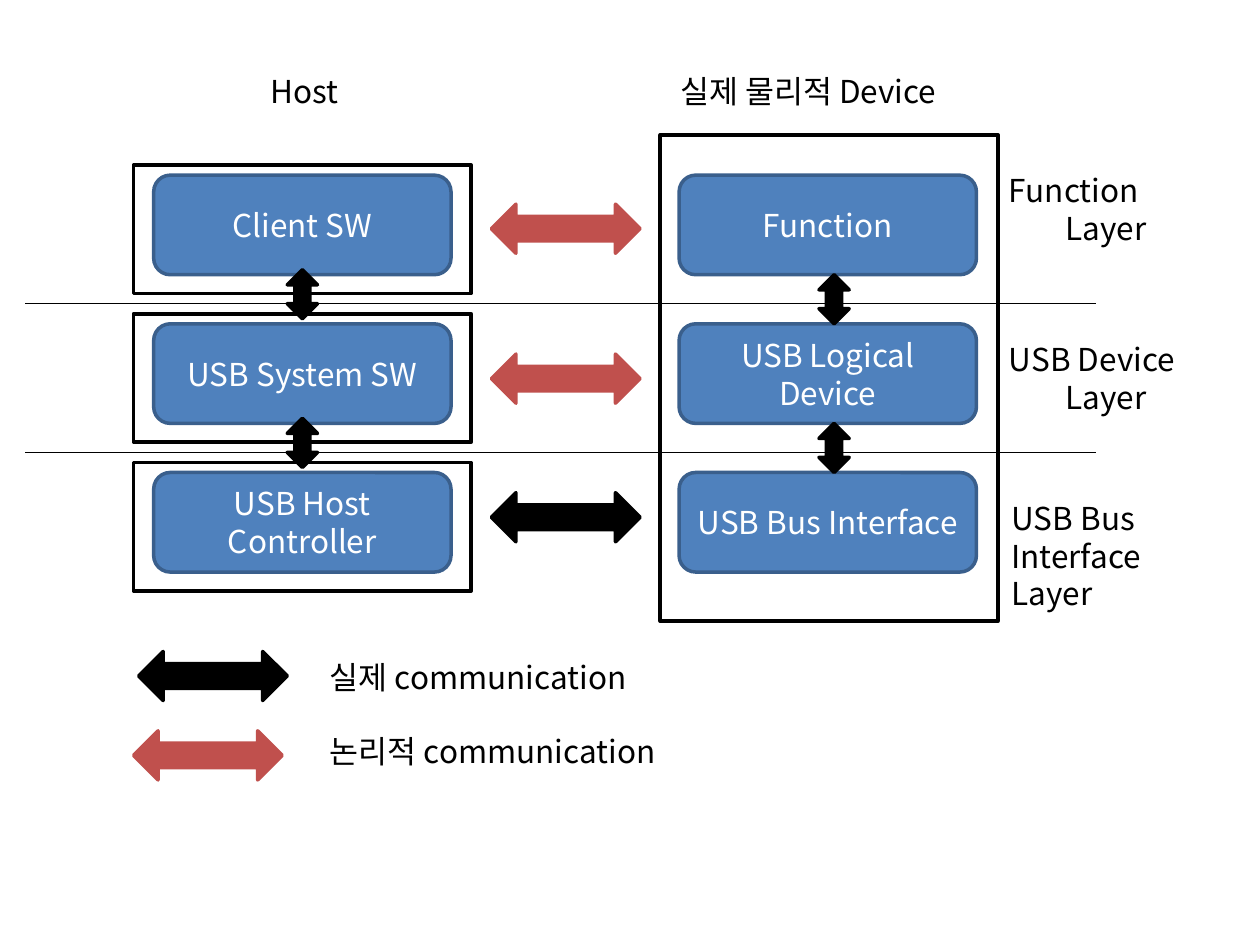
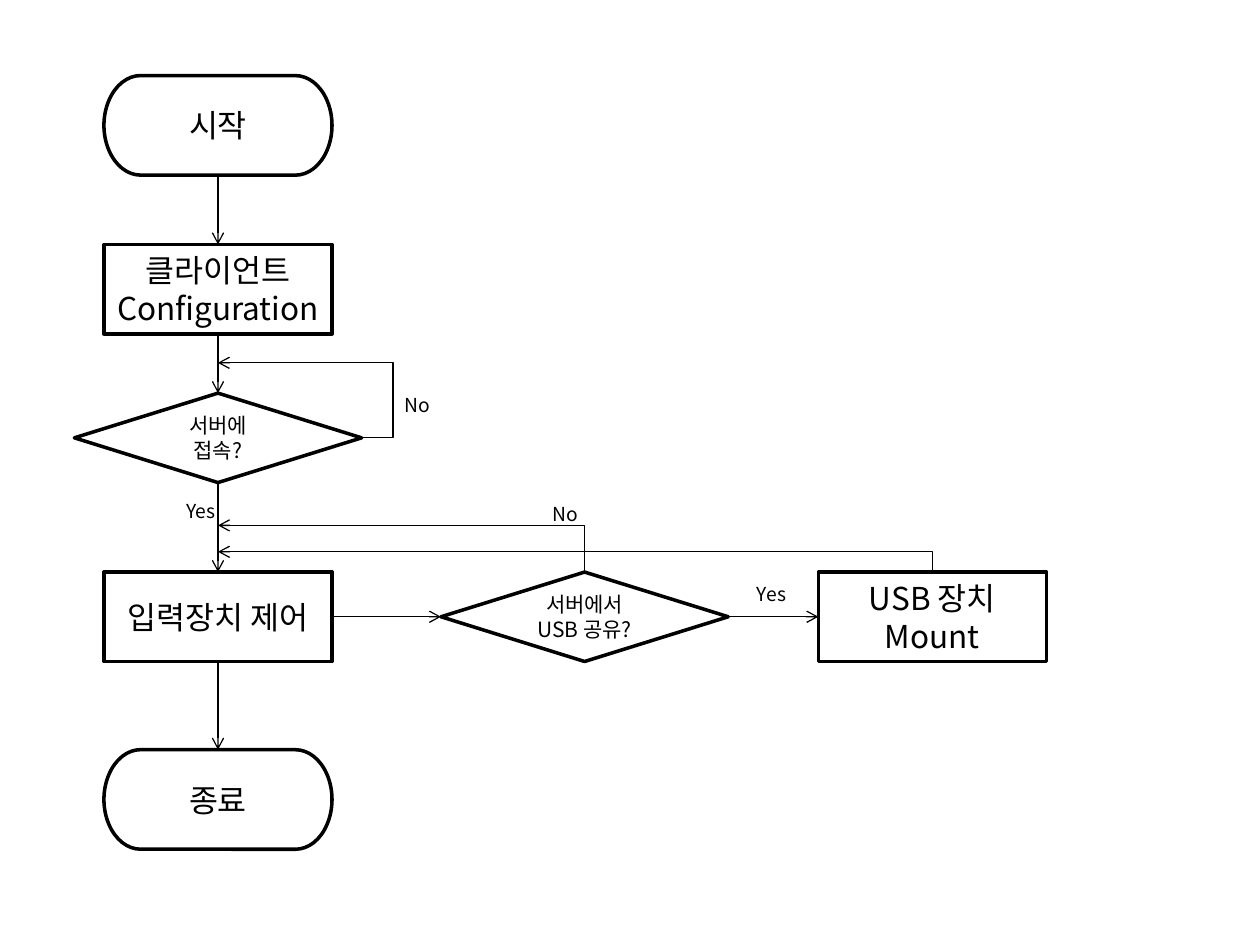
"""Builds a USB layer diagram and a client flowchart."""
from lxml.etree import SubElement
from pptx import Presentation
from pptx.dml.color import RGBColor
from pptx.enum.shapes import MSO_CONNECTOR as LINK, MSO_SHAPE as SHAPE
from pptx.enum.text import MSO_ANCHOR as ANCHOR, MSO_AUTO_SIZE as FIT, PP_ALIGN as ALIGN
from pptx.oxml.ns import qn
from pptx.util import Inches, Pt

FONT = "Noto Sans CJK KR"
BLACK, WHITE, BLUE, NAVY, RED = "000000", "FFFFFF", "4F81BD", "3A5F8C", "C0504D"

HOST_PARTS = ["Client SW", "USB System SW", "USB Host Controller"]
DEVICE_PARTS = ["Function", "USB Logical Device", "USB Bus Interface"]
CHANNELS = [(1.62, RED), (2.81, RED), (3.91, BLACK)]
HEADINGS = [("Host", 1.14, ALIGN.CENTER), ("실제 물리적 Device", 5.3, ALIGN.LEFT)]
LAYERS = [
    (["Function", "Layer"], 7.91, 1.31, 0.71),
    (["USB Device", "Layer"], 7.91, 2.65, 0.71),
    (["USB Bus Interface Layer"], 7.93, 3.91, 1.01),
]
LEGEND = [
    ("실제 communication", BLACK, 1.1, 5.17, 5.17, 2.56),
    ("논리적 communication", RED, 1.06, 5.8, 5.76, 3.11),
]

STEP_KINDS = {
    "end": (SHAPE.FLOWCHART_TERMINATOR, 1.81, 0.79, 18),
    "process": (SHAPE.FLOWCHART_PROCESS, 1.81, 0.71, 18),
    "decision": (SHAPE.FLOWCHART_DECISION, 2.28, 0.71, 12),
}
MAIN, SHARE, MOUNT = 1.73, 4.64, 7.4
CONTROL_TOP = 4.54
STEPS = [
    ("end", MAIN, 0.6, ["시작"]),
    ("process", MAIN, 1.94, ["클라이언트", "Configuration"]),
    ("decision", MAIN, 3.12, ["서버에", "접속?"]),
    ("process", MAIN, CONTROL_TOP, ["입력장치 제어"]),
    ("end", MAIN, 5.95, ["종료"]),
    ("decision", SHARE, CONTROL_TOP, ["서버에서 USB 공유?"]),
    ("process", MOUNT, CONTROL_TOP, ["USB 장치 Mount"]),
]
ANSWERS = [("No", 3.11, 3.07), ("Yes", 5.91, 4.57), ("Yes", 1.38, 3.91), ("No", 4.29, 3.94)]
RETURNS = [(SHARE, 4.17), (MOUNT, 4.38)]


def color(hex_value):
    return RGBColor.from_string(hex_value)


def write(frame, lines, size=18, ink=BLACK, align=ALIGN.LEFT, hang=0):
    frame.word_wrap = True
    for index, line in enumerate(lines):
        paragraph = frame.paragraphs[0] if index == 0 else frame.add_paragraph()
        paragraph.alignment = align
        if index and hang:
            paragraph._p.get_or_add_pPr().set("marL", str(Inches(hang)))
        run = paragraph.add_run()
        run.text = line
        run.font.size, run.font.name = Pt(size), FONT
        run.font.color.rgb = color(ink)
        SubElement(run._r.get_or_add_rPr(), qn("a:ea")).set("typeface", FONT)


def label(slide, lines, x, y, width, height, **style):
    box = slide.shapes.add_textbox(*map(Inches, (x, y, width, height)))
    write(box.text_frame, lines, **style)
    box.text_frame.auto_size = FIT.SHAPE_TO_FIT_TEXT


def block(slide, kind, x, y, width, height, fill=None, edge=BLACK, lines=(), **style):
    shape = slide.shapes.add_shape(kind, *map(Inches, (x, y, width, height)))
    shape.shadow.inherit = False
    if fill:
        shape.fill.solid()
        shape.fill.fore_color.rgb = color(fill)
    else:
        shape.fill.background()
    shape.line.color.rgb, shape.line.width = color(edge), Pt(2)
    shape.text_frame.vertical_anchor = ANCHOR.MIDDLE
    write(shape.text_frame, lines, align=ALIGN.CENTER, **style)


def link(slide, x1, y1, x2, y2, kind=LINK.STRAIGHT, arrow=True):
    connector = slide.shapes.add_connector(kind, *map(Inches, (x1, y1, x2, y2)))
    connector.line.color.rgb, connector.line.width = color(BLACK), Pt(0.75)
    if arrow:
        SubElement(connector.line._get_or_add_ln(), qn("a:tailEnd")).set("type", "arrow")
    SubElement(connector._element.spPr, qn("a:effectLst"))
    return connector._element.spPr


def loop_back(slide, x1, y1, x2, y2, overshoot):
    geometry = link(slide, x1, y1, x2, y2, LINK.ELBOW).find(qn("a:prstGeom"))
    guide = SubElement(geometry.find(qn("a:avLst")), qn("a:gd"))
    guide.set("name", "adj1")
    guide.set("fmla", f"val {round(-overshoot / (x1 - x2) * 100000)}")


def up_and_left(slide, x1, y1, x2, y2):
    middle_x, middle_y = (x1 + x2) / 2, (y1 + y2) / 2
    half_run, half_rise = (x1 - x2) / 2, (y1 - y2) / 2
    properties = link(slide, middle_x - half_rise, middle_y + half_run,
                      middle_x + half_rise, middle_y - half_run, LINK.ELBOW)
    properties.find(qn("a:xfrm")).set("rot", str(270 * 60000))
    properties.find(qn("a:prstGeom")).set("prst", "bentConnector2")


def build_layers(slide):
    top, pitch, width, height = 1.39, 1.18, 2.36, 0.79
    rows = [top + pitch * row for row in range(3)]
    for x, parts in ((1.22, HOST_PARTS), (5.39, DEVICE_PARTS)):
        for y, part in zip(rows, parts):
            block(slide, SHAPE.ROUNDED_RECTANGLE, x, y, width, height,
                  fill=BLUE, edge=NAVY, lines=[part], ink=WHITE)
    block(slide, SHAPE.RECTANGLE, 5.24, 1.07, 2.68, 3.86)
    for y in rows:
        block(slide, SHAPE.RECTANGLE, 1.06, y - 0.08, 2.68, 1.02)
    for y, tone in CHANNELS:
        block(slide, SHAPE.LEFT_RIGHT_ARROW, 3.9, y, 1.18, 0.39, fill=tone, edge=tone)
    for y in rows[:2]:
        for x, lift in ((6.5, 0), (2.28, 0.04)):
            block(slide, SHAPE.UP_DOWN_ARROW, x, y + height - lift, 0.24, 0.39, fill=BLACK)
        link(slide, 0.2, y + 1.02, 8.7, y + 1.02, arrow=False)
    for meaning, tone, x, y, text_y, text_width in LEGEND:
        block(slide, SHAPE.LEFT_RIGHT_ARROW, x, y, 1.18, 0.39, fill=tone, edge=tone)
        label(slide, [meaning], 2.52, text_y, text_width, 0.4)
    for lines, x, y, tall in LAYERS:
        label(slide, lines, x, y, 1.54, tall, hang=0.45)
    for heading, x, align in HEADINGS:
        label(slide, [heading], x, 0.52, 2.56, 0.4, align=align)


def build_flow(slide):
    spans = []
    for kind, center, top, lines in STEPS:
        shape, width, height, size = STEP_KINDS[kind]
        block(slide, shape, center - width / 2, top, width, height, lines=lines, size=size)
        spans.append((center - width / 2, top, center + width / 2, top + height))
    column, row = spans[:5], [spans[3], *spans[5:]]
    for upper, lower in zip(column, column[1:]):
        link(slide, MAIN, upper[3], MAIN, lower[1])
    for before, after in zip(row, row[1:]):
        middle = (before[1] + before[3]) / 2
        link(slide, before[2], middle, after[0], middle)
    _, top, right, bottom = spans[2]
    loop_back(slide, right, (top + bottom) / 2, MAIN, 2.88, 0.25)
    for center, level in RETURNS:
        up_and_left(slide, center, CONTROL_TOP, MAIN, level)
    for answer, x, y in ANSWERS:
        label(slide, [answer], x, y, 0.47, 0.29, size=11)


deck = Presentation()
deck.slide_width, deck.slide_height = Inches(10), Inches(7.5)
for build in (build_layers, build_flow):
    build(deck.slides.add_slide(deck.slide_layouts[6]))
deck.save("out.pptx")
